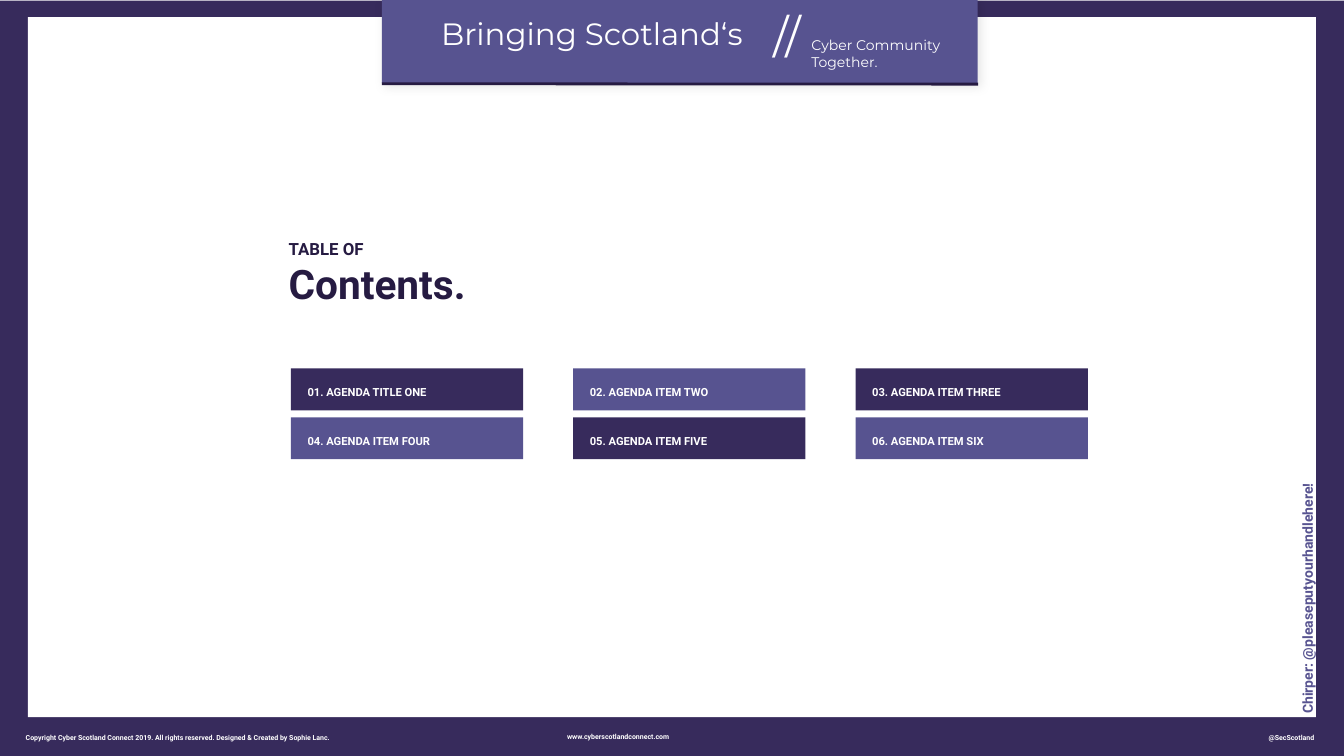
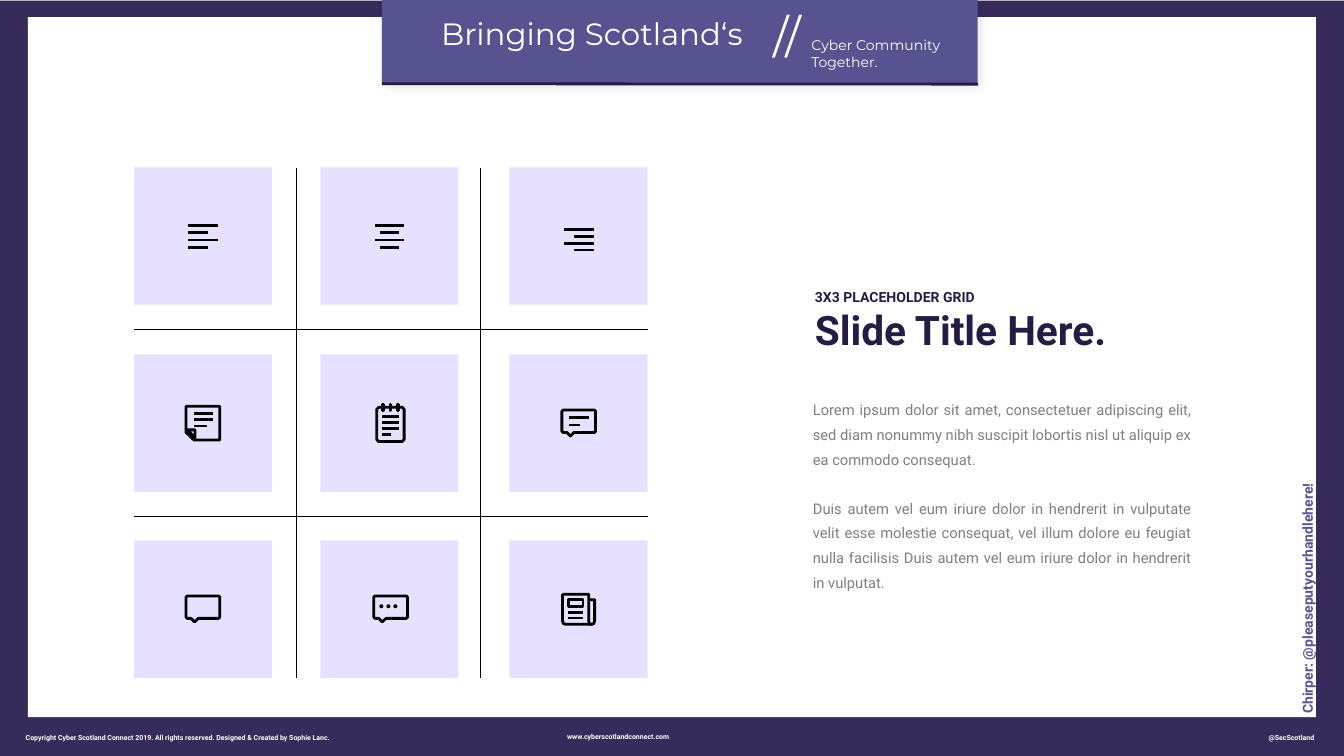
"""Build the agenda slide and the icon grid slide inside one branded frame."""
from lxml import etree
from pptx import Presentation
from pptx import util as u
from pptx.dml.color import RGBColor
from pptx.enum import shapes, text
from pptx.oxml.ns import qn

THEME = {
    "ink": {"deep": "372B5C", "mid": "575390", "dark": "261B42", "pale": "E7E1FF",
            "white": "FFFFFF", "black": "000000", "gray": "7F7F7F"},
    "type": {
        "brand": ("Montserrat", 44, False, "white"),
        "slash": ("Montserrat", 65, False, "white"),
        "tag": ("Montserrat", 20, False, "white"),
        "foot": ("Roboto", 10, True, "white"),
        "item": ("Roboto", 16, True, "white"),
        "side": ("Roboto", 20, True, "mid"),
        "lead": ("Roboto", 24, True, "dark"),
        "label": ("Roboto", 20, True, "dark"),
        "title": ("Roboto", 58, True, "dark"),
        "body": ("Roboto", 21, False, "gray"),
    },
}
LEFT, MID, JUST = (text.PP_ALIGN.LEFT, text.PP_ALIGN.CENTER, text.PP_ALIGN.JUSTIFY)
TOP, HALF, LOW = (text.MSO_ANCHOR.TOP, text.MSO_ANCHOR.MIDDLE, text.MSO_ANCHOR.BOTTOM)
RECT, OVAL = shapes.MSO_SHAPE.RECTANGLE, shapes.MSO_SHAPE.OVAL

SIZE = (67.74, 38.1)
PANELS = [((0, 0.03, *SIZE), "deep"), ((1.4, 0.86, 64.92, 35.28), "white")]
BANNER = (19.25, -0.1, 30.02, 4.29)
RULE = (19.25, 4.22, 49.3, 4.24)
FRAME = [
    ((21.82, 0.76, 16.03, 1.88), ["Bringing Scotland‘s"], "brand", MID, TOP),
    ((36.07, 0.38, 7.19, 2.77), ["//"], "slash", MID, TOP),
    ((40.89, 1.85, 8.41, 1.7), ["Cyber Community", "Together."], "tag", LEFT, TOP),
    ((0.05, 36.98, 17.81, 0.43),
     ["Copyright Cyber Scotland Connect 2019. All rights reserved. "
      "Designed & Created by Sophie Lanc."], "foot", MID, HALF),
    ((28.07, 36.93, 6.17, 0.43), ["www.cyberscotlandconnect.com"], "foot", MID, HALF),
    ((63.68, 36.98, 2.82, 0.43), ["@SecScotland"], "foot", MID, HALF),
]
SIDE = "Chirper: @pleaseputyourhandlehere!"
SIDE_BOX = (59.77, 29.44, 12.24, 0.84)

AGENDA = [
    ["01. AGENDA TITLE ONE", "02. AGENDA ITEM TWO", "03. AGENDA ITEM THREE"],
    ["04. AGENDA ITEM FOUR", "05. AGENDA ITEM FIVE", "06. AGENDA ITEM SIX"],
]
ITEM = {"left": 14.66, "top": 18.57, "across": 14.23, "down": 2.46,
        "size": (11.71, 2.11)}
HEADS = [
    ((14.55, 12.04, 11.71, 3.51), [("TABLE OF", "lead"), ("Contents.", "title")]),
    ((41.07, 14.53, 15.67, 3.33),
     [("3X3 PLACEHOLDER GRID", "label"), ("Slide Title Here.", "title")]),
]
BODY_BOX = (40.84, 19.74, 19.33, 10.19)
BODY = [
    "Lorem ipsum dolor sit amet, consectetuer adipiscing elit, sed diam nonummy nibh "
    "suscipit lobortis nisl ut aliquip ex ea commodo consequat.",
    "Duis autem vel eum iriure dolor in hendrerit in vulputate velit esse molestie "
    "consequat, vel illum dolore eu feugiat nulla facilisis Duis autem vel eum iriure "
    "dolor in hendrerit in vulputat.",
]

COLS, ROWS, CARD = (6.76, 16.15, 25.68), (8.43, 17.86, 27.23), (6.96, 6.93)
GRID = [(6.73, y, 32.64, y) for y in (16.61, 26.01)]
GRID += [(x, 8.46, x, 34.16) for x in (14.94, 24.21)]


def bars(top, step, *spans):
    """Return evenly stacked level strokes."""
    return [(a, top + i * step, b, top + i * step) for i, (a, b) in enumerate(spans)]


def block(x, y, wide, high, cut=0):
    """Return the corners of a box with cut corners."""
    r, b = x + wide, y + high
    if not cut:
        return [(x, y), (r, y), (r, b), (x, b)]
    return [(x + cut, y), (r - cut, y), (r, y + cut), (r, b - cut),
            (r - cut, b), (x + cut, b), (x, b - cut), (x, y + cut)]


def bubble(x):
    """Return the outline of a speech bubble."""
    pts = block(x, -0.66, 1.7, 1.13, 0.06)
    return pts[:5] + [(x + 0.61, 0.47), (x + 0.43, 0.65), (x + 0.25, 0.47)] + pts[5:]


PAGE = [(-0.46, 0.85), (0.84, 0.85), (0.84, -0.85), (-0.86, -0.85), (-0.86, 0.47)]
FOLD = [(-0.41, 0.75), (-0.41, 0.34), (-0.79, 0.34)]
SPINE = [(-0.81, -0.75), (-0.81, 0.6), (-0.76, 0.73), (-0.64, 0.77), (0.67, 0.77)]
SHEET = [(0.51, -0.47), (0.81, -0.47), (0.81, 0.6), (0.77, 0.73), (0.69, 0.77),
         (0.63, 0.77), (0.55, 0.73), (0.51, 0.6), (0.51, -0.75), (-0.81, -0.75)]
ICONS = [
    [{"bars": bars(-0.52, 0.36, *[(-0.76, 0.74), (-0.76, 0.23)] * 2)},
     {"bars": bars(-0.52, 0.36, *[(-0.73, 0.72), (-0.49, 0.5)] * 2)},
     {"bars": bars(-0.34, 0.35, *[(-0.74, 0.76), (-0.23, 0.76)] * 2)}],
    [{"bars": bars(-0.5, 0.32, (-0.46, 0.48), (-0.46, 0.48), (-0.46, 0.18)),
      "loops": [FOLD, PAGE]},
     {"bars": bars(-0.34, 0.31, *[(-0.36, 0.46)] * 3, (-0.36, 0.08)),
      "loops": [block(-0.64, -0.8, 1.38, 1.73, 0.1)]
      + [block(x, -0.93, 0.04, 0.3) for x in (-0.35, 0.03, 0.41)]},
     {"bars": bars(-0.27, 0.36, (-0.48, 0.51), (-0.48, 0.05)),
      "loops": [bubble(-0.84)]}],
    [{"loops": [bubble(-0.86)]},
     {"loops": [bubble(-0.79)], "dots": [-0.51, -0.15, 0.2]},
     {"bars": bars(0.17, 0.28, *[(-0.51, 0.23)] * 2),
      "loops": [block(-0.51, -0.47, 0.74, 0.36)], "paths": [SPINE, SHEET]}],
]


def ink(name):
    """Return a theme colour."""
    return RGBColor.from_string(THEME["ink"][name])


def cms(*nums):
    """Convert numbers to lengths."""
    return [u.Cm(n) for n in nums]


def apply(obj, form):
    """Set each format value on an object."""
    for key, val in form.items():
        setattr(obj, key, val)


def place(shape, box):
    """Move and size a shape."""
    apply(shape, dict(zip(("left", "top", "width", "height"), cms(*box))))


def write(shape, lines, align=LEFT, anchor=TOP, pad=0, form=None, gap=0):
    """Fill a shape with styled lines, given as text and style pairs."""
    frame = shape.text_frame
    sides = ("margin_left", "margin_top", "margin_right", "margin_bottom")
    apply(frame, {"word_wrap": True, "auto_size": text.MSO_AUTO_SIZE.NONE,
                  "vertical_anchor": anchor, **dict.fromkeys(sides, u.Cm(pad))})
    for i, (words, style) in enumerate(lines):
        para = frame.add_paragraph() if i else frame.paragraphs[0]
        apply(para, {"alignment": align, "space_before": u.Pt(gap if i else 0),
                     **(form or {})})
        run = para.add_run()
        run.text = words
        face, size, bold, hue = THEME["type"][style]
        apply(run.font, {"name": face, "size": u.Pt(size), "bold": bold})
        run.font.color.rgb = ink(hue)


def solid(slide, box, hue, kind=RECT):
    """Add a plain filled shape."""
    shape = slide.shapes.add_shape(kind, *cms(*box))
    shape.shadow.inherit = False
    shape.fill.solid()
    shape.fill.fore_color.rgb = ink(hue)
    shape.line.fill.background()
    return shape


def stroke(slide, ends, hue="black", width=4):
    """Add a straight line."""
    line = slide.shapes.add_connector(shapes.MSO_CONNECTOR.STRAIGHT, *cms(*ends))
    line.line.color.rgb = ink(hue)
    line.line.width = u.Pt(width)
    etree.SubElement(line.element.spPr, qn("a:effectLst"))


def trace(slide, pts, close):
    """Add an unfilled outline."""
    first, *rest = [cms(*pt) for pt in pts]
    pen = slide.shapes.build_freeform(*first)
    pen.add_line_segments(rest, close=close)
    shape = pen.convert_to_shape()
    shape.shadow.inherit = False
    shape.fill.background()
    shape.line.color.rgb = ink("black")
    shape.line.width = u.Pt(4)


def label(slide, box, lines, style, align, anchor):
    """Add a text box in one style."""
    shape = slide.shapes.add_textbox(*cms(*box))
    write(shape, [(line, style) for line in lines], align, anchor)
    return shape


def cast(shape):
    """Add a soft shadow."""
    glow = etree.SubElement(shape.element.spPr.find(qn("a:effectLst")),
                            qn("a:outerShdw"), blurRad="190500", dist="63500",
                            dir="2700000", algn="tl", rotWithShape="0")
    hue = etree.SubElement(glow, qn("a:srgbClr"), val=THEME["ink"]["black"])
    etree.SubElement(hue, qn("a:alpha"), val="10000")


def brand(deck, slide):
    """Draw the shared frame and move it to the master."""
    for box, hue in PANELS:
        solid(slide, box, hue)
    cast(solid(slide, BANNER, "mid"))
    stroke(slide, RULE, "dark")
    for part in FRAME:
        label(slide, *part)
    parts = [s for s in slide.shapes if not s.is_placeholder]
    for i, part in enumerate(parts, 50):
        part.element.xpath(".//p:cNvPr")[0].set("id", str(i))
        deck.slide_master.shapes.element.append(part.element)


def finish(slide, head):
    """Add the title and the side handle."""
    box, lines = head
    place(slide.shapes.title, box)
    write(slide.shapes.title, lines)
    label(slide, SIDE_BOX, [SIDE], "side", LEFT, LOW).rotation = 270


def agenda(slide):
    """Add the agenda tiles."""
    for r, row in enumerate(AGENDA):
        for c, words in enumerate(row):
            spot = (ITEM["left"] + c * ITEM["across"], ITEM["top"] + r * ITEM["down"])
            tile = solid(slide, (*spot, *ITEM["size"]), "mid" if (r + c) % 2 else "deep")
            write(tile, [(words, "item")], LEFT, HALF, 0.13, {"line_spacing": 1.4})
            para = tile.text_frame.paragraphs[0]
            para.alignment = LEFT
            para.font.element.getparent().set("indent", str(u.Cm(0.71))) \
                if hasattr(para.font, "element") else \
                tile.element.xpath(".//a:pPr")[0].set("indent", str(u.Cm(0.71)))


def icon(slide, x, y, parts):
    """Draw an icon around a centre."""
    for a, b, c, d in parts.get("bars", []):
        stroke(slide, (x + a, y + b, x + c, y + d))
    for key in ("loops", "paths"):
        for pts in parts.get(key, []):
            trace(slide, [(x + a, y + b) for a, b in pts], key == "loops")
    for dot in parts.get("dots", []):
        solid(slide, (x + dot, y - 0.24, 0.2, 0.2), "black", OVAL)


def grid(slide):
    """Add the cards, dividers, icons and body text."""
    for ends in GRID:
        stroke(slide, ends, width=1)
    wide, high = CARD
    for y, row in zip(ROWS, ICONS):
        for x, parts in zip(COLS, row):
            solid(slide, (x, y, *CARD), "pale")
            icon(slide, x + wide / 2, y + high / 2, parts)
    body = slide.placeholders[1]
    place(body, BODY_BOX)
    write(body, [(words, "body") for words in BODY], JUST, LOW, 0.13,
          {"line_spacing": 1.4}, 35)
    for props in body.element.xpath(".//a:pPr"):
        apply(props, {"marL": 0, "indent": 0})
        props.set("marL", "0")
        props.set("indent", "0")
        etree.SubElement(props, qn("a:buNone"))


def main():
    """Build and save the deck."""
    deck = Presentation()
    apply(deck, dict(zip(("slide_width", "slide_height"), cms(*SIZE))))
    plans = [(5, agenda), (1, grid)]
    for i, (kind, fill) in enumerate(plans):
        slide = deck.slides.add_slide(deck.slide_layouts[kind])
        if not i:
            brand(deck, slide)
        fill(slide)
        finish(slide, HEADS[i])
    deck.save("out.pptx")


if __name__ == "__main__":
    main()
